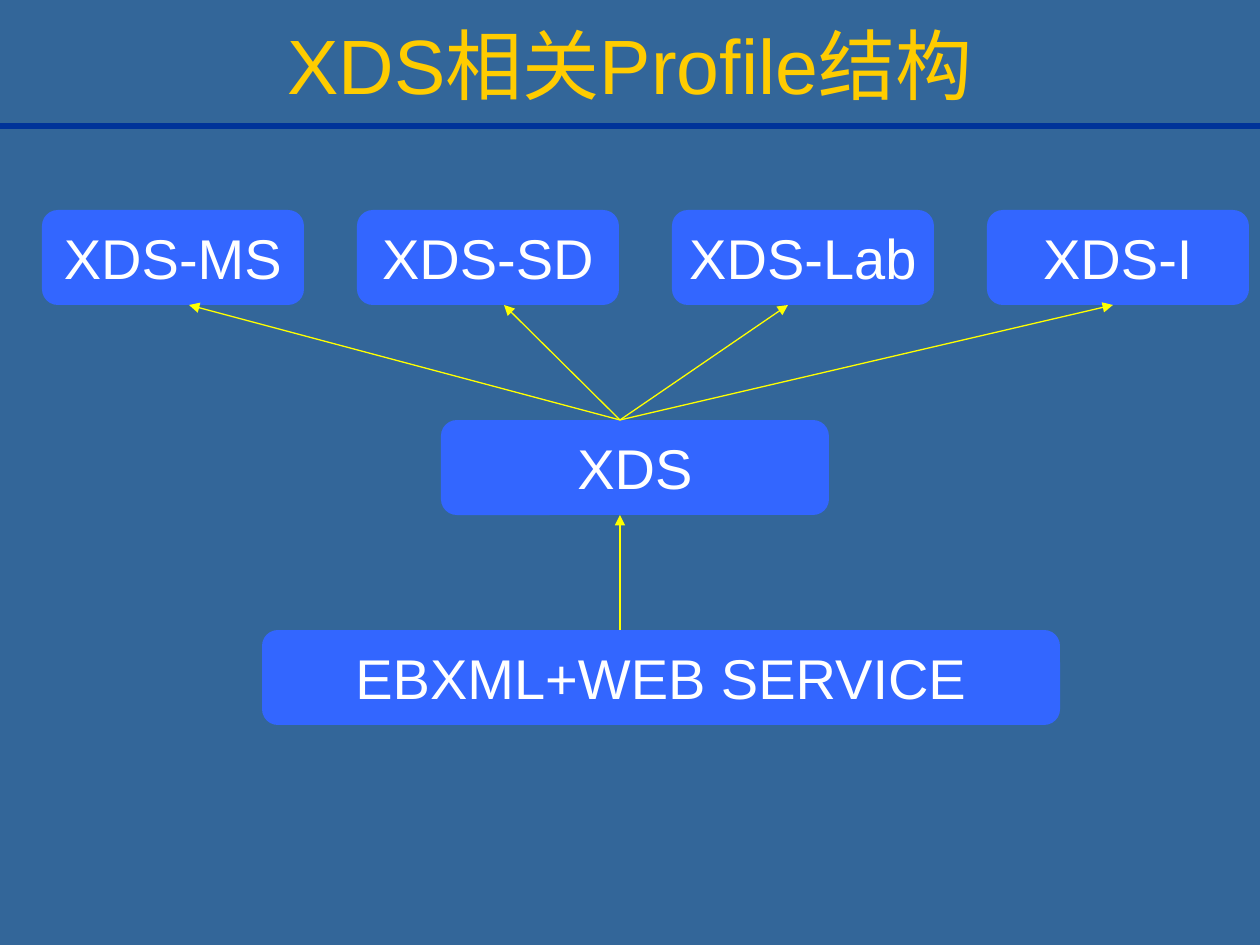
from dataclasses import dataclass

from lxml import etree
from pptx import Presentation
from pptx.dml.color import RGBColor
from pptx.enum.shapes import MSO_CONNECTOR, MSO_SHAPE
from pptx.enum.text import MSO_ANCHOR, PP_ALIGN
from pptx.oxml.ns import qn
from pptx.util import Emu, Pt

STRAIGHT = MSO_CONNECTOR.STRAIGHT
ROUNDED = MSO_SHAPE.ROUNDED_RECTANGLE
MIDDLE = MSO_ANCHOR.MIDDLE
CENTER = PP_ALIGN.CENTER

PX_PER_INCH = 126
SLIDE_W, SLIDE_H = 1260, 945

BOX_H = 95
PROFILE_LEFT, PROFILE_TOP, PROFILE_W, PROFILE_PITCH = 42, 210, 262, 315
CORE_TOP, BASE_TOP = 420, 630
HUB_X = 620

# Each profile with the x where its arrow lands
PROFILES = [("XDS-MS", 189), ("XDS-SD", 504), ("XDS-Lab", 788), ("XDS-I", 1113)]


@dataclass(frozen=True)
class Theme:
    background: str = "336699"
    rule: str = "003399"
    title: str = "FFCC00"
    box: str = "3366FF"
    box_text: str = "FFFFFF"
    arrow: str = "FFFF00"
    font: str = "Arial"
    title_size: int = 44
    box_size: int = 32
    rule_width: float = 3
    arrow_width: float = 0.75


THEME = Theme()


def px(length):
    return Emu(round(length * 914400 / PX_PER_INCH))


def rgb(code):
    return RGBColor.from_string(code)


def write_text(frame, text, *, size, color, wrap):
    frame.word_wrap = wrap
    frame.vertical_anchor = MIDDLE
    paragraph = frame.paragraphs[0]
    paragraph.alignment = CENTER
    run = paragraph.add_run()
    run.text = text
    run.font.name = THEME.font
    run.font.size = Pt(size)
    run.font.color.rgb = rgb(color)


def add_title(slide, text):
    title = slide.shapes.add_textbox(px(94), px(5), px(1072), px(118))
    write_text(title.text_frame, text, size=THEME.title_size,
               color=THEME.title, wrap=True)


def add_box(slide, text, left, top, width):
    box = slide.shapes.add_shape(ROUNDED, px(left), px(top), px(width), px(BOX_H))
    box.shadow.inherit = False
    box.fill.solid()
    box.fill.fore_color.rgb = rgb(THEME.box)
    box.line.fill.background()
    write_text(box.text_frame, text, size=THEME.box_size,
               color=THEME.box_text, wrap=False)


def add_line(slide, start, end, color, width):
    line = slide.shapes.add_connector(STRAIGHT, *map(px, start + end))
    line.line.color.rgb = rgb(color)
    line.line.width = Pt(width)
    etree.SubElement(line.element.spPr, qn("a:effectLst"))
    return line


def add_arrow(slide, start, end):
    arrow = add_line(slide, start, end, THEME.arrow, THEME.arrow_width)
    outline = arrow.element.spPr.find(qn("a:ln"))
    etree.SubElement(outline, qn("a:tailEnd"), type="triangle")


def main():
    deck = Presentation()
    deck.slide_width, deck.slide_height = px(SLIDE_W), px(SLIDE_H)
    slide = deck.slides.add_slide(deck.slide_layouts[6])
    slide.background.fill.solid()
    slide.background.fill.fore_color.rgb = rgb(THEME.background)

    add_line(slide, (0, 126), (SLIDE_W, 126), THEME.rule, THEME.rule_width)
    add_title(slide, "XDS相关Profile结构")

    add_box(slide, "XDS", 441, CORE_TOP, 388)
    for column, (profile, _) in enumerate(PROFILES):
        left = PROFILE_LEFT + column * PROFILE_PITCH
        add_box(slide, profile, left, PROFILE_TOP, PROFILE_W)
    add_box(slide, "EBXML+WEB SERVICE", 262, BASE_TOP, 798)

    for _, target_x in PROFILES:
        add_arrow(slide, (HUB_X, CORE_TOP), (target_x, PROFILE_TOP + BOX_H))
    add_arrow(slide, (HUB_X, BASE_TOP), (HUB_X, CORE_TOP + BOX_H))

    deck.save("out.pptx")


if __name__ == "__main__":
    main()
